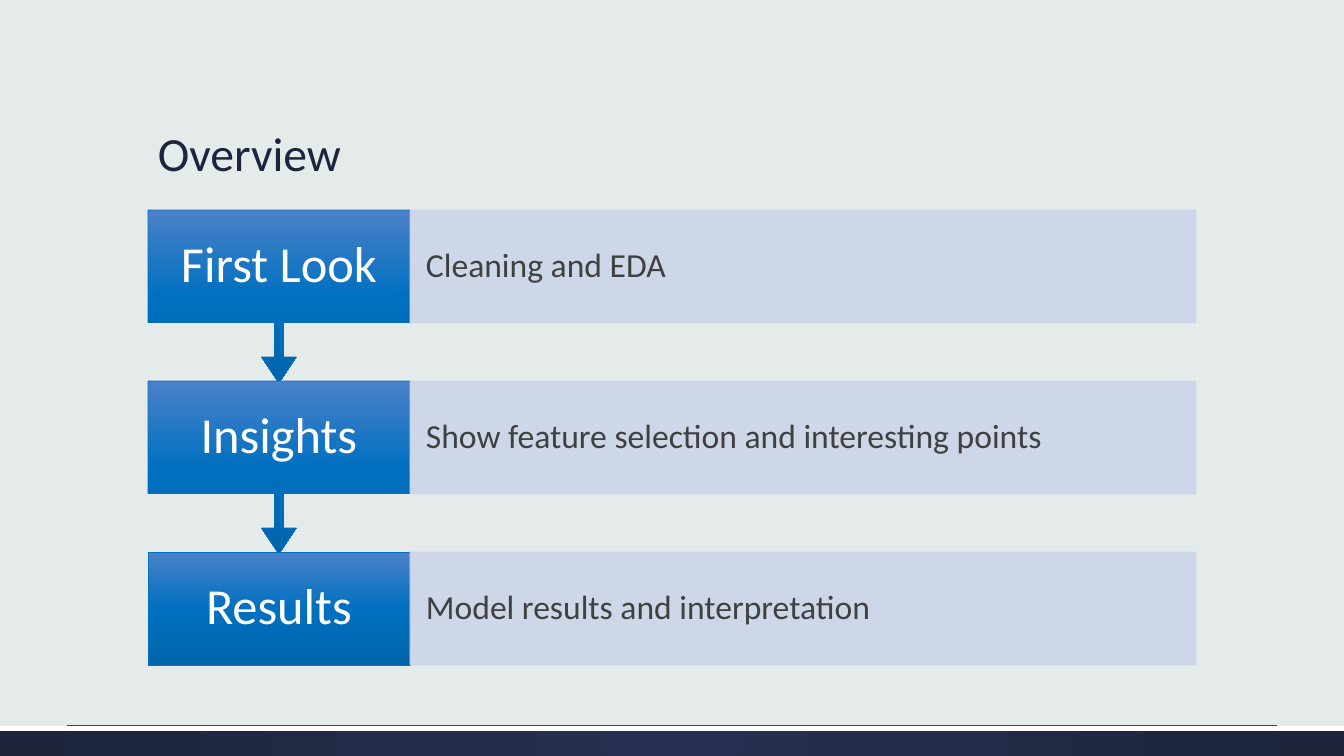
from dataclasses import dataclass

from lxml.etree import SubElement
from pptx import Presentation
from pptx.dml.color import RGBColor
from pptx.enum.shapes import MSO_CONNECTOR, MSO_SHAPE
from pptx.enum.text import MSO_ANCHOR as Anchor, MSO_AUTO_SIZE, PP_ALIGN as Align
from pptx.oxml.ns import qn
from pptx.util import Emu, Pt

TITLE = "Overview"
STEPS = [
    ("First Look", "Cleaning and EDA"),
    ("Insights", "Show feature selection and interesting points"),
    ("Results", "Model results and interpretation"),
]


@dataclass(frozen=True)
class Theme:
    """Colours, gradients and type sizes of the slide."""
    font: str = "Calibri"
    background: str = "E5EAEA"
    ink: str = "1D243C"
    white: str = "FFFFFF"
    detail_text: str = "404040"
    detail_fill: str = "CCD5E8"
    step_line: str = "0070C0"
    step_gradient: tuple = ((0, "4B81C8"), (50, "0070C0"), (100, "0064AB"))
    footer_gradient: tuple = ((0, "263050"), (100, "1D243C"))
    title_size: int = 34
    step_size: int = 36
    detail_size: int = 24
    detail_opacity: int = 90
    line_width: float = 0.5


THEME = Theme()
EMU_PER_PX = 914400 / 100.8
SLIDE_WIDTH, SLIDE_HEIGHT = 1344, 756
LEFT, CONTENT_WIDTH = 148, 1048
TITLE_TOP, TITLE_HEIGHT = 51, 136
STEP_TOP, STEP_PITCH, STEP_WIDTH = 210, 171, 262
BOX_HEIGHT, CALLOUT_HEIGHT = 113, 173
CALLOUT_ADJUSTMENTS = (0.05, 0.1, 0.15, 0.65)
FOOTER_TOP, STRIP_HEIGHT = 726, 5
RULE_LEFT, RULE_RIGHT = 67, 1277


def px(length):
    """Turn pixels into EMU."""
    return Emu(round(length * EMU_PER_PX))


def write_text(shape, text, size, color, align=Align.LEFT, anchor=Anchor.MIDDLE, insets=(10, 5)):
    """Fill a shape with one formatted paragraph."""
    frame = shape.text_frame
    frame.text = text
    frame.word_wrap = True
    frame.auto_size = MSO_AUTO_SIZE.NONE
    frame.vertical_anchor = anchor
    frame.margin_left = frame.margin_right = px(insets[0])
    frame.margin_top = frame.margin_bottom = px(insets[1])
    paragraph = frame.paragraphs[0]
    paragraph.alignment = align
    paragraph.line_spacing = 0.9
    font = paragraph.runs[0].font
    font.name, font.size = THEME.font, Pt(size)
    font.color.rgb = RGBColor.from_string(color)


def add_block(slide, left, top, width, height, fill=None, line=None, kind=MSO_SHAPE.RECTANGLE):
    """Add a flat preset shape with an optional solid fill and line."""
    shape = slide.shapes.add_shape(kind, px(left), px(top), px(width), px(height))
    shape.shadow.inherit = False
    if fill:
        shape.fill.solid()
        shape.fill.fore_color.rgb = RGBColor.from_string(fill)
    if line:
        shape.line.width = Pt(THEME.line_width)
        shape.line.color.rgb = RGBColor.from_string(line)
    else:
        shape.line.fill.background()
    return shape


def set_gradient(shape, stops, radial=False):
    """Give a shape a top-down or radial gradient."""
    shape.fill.gradient()
    gradient = shape._element.spPr.find(qn("a:gradFill"))
    for child in list(gradient):
        gradient.remove(child)
    stop_list = SubElement(gradient, qn("a:gsLst"))
    for position, color in stops:
        stop = SubElement(stop_list, qn("a:gs"), pos=str(position * 1000))
        SubElement(stop, qn("a:srgbClr"), val=color)
    if radial:
        center = SubElement(gradient, qn("a:path"), {"path": "circle"})
        SubElement(center, qn("a:fillToRect"), {side: "50000" for side in "ltrb"})
    else:
        SubElement(gradient, qn("a:lin"), ang="5400000", scaled="0")


def set_opacity(shape, percent):
    """Make the fill and line of a shape partly transparent."""
    for color in shape._element.spPr.iter(qn("a:srgbClr")):
        SubElement(color, qn("a:alpha"), val=str(percent * 1000))


def add_footer(slide):
    """Draw the dark band, the white strip and the thin rule."""
    band = add_block(slide, 0, FOOTER_TOP, SLIDE_WIDTH, SLIDE_HEIGHT - FOOTER_TOP)
    set_gradient(band, THEME.footer_gradient, radial=True)
    add_block(slide, 0, FOOTER_TOP, SLIDE_WIDTH, STRIP_HEIGHT, fill=THEME.white)
    rule = slide.shapes.add_connector(
        MSO_CONNECTOR.STRAIGHT, px(RULE_LEFT), px(FOOTER_TOP - 1), px(RULE_RIGHT), px(FOOTER_TOP - 1))
    rule.line.width = Pt(THEME.line_width)
    rule.line.color.rgb = RGBColor.from_string(THEME.detail_text)
    SubElement(rule._element.spPr, qn("a:effectLst"))


def add_step(slide, index, label, detail):
    """Draw one step: its label, its arrow to the next step and its detail."""
    top = STEP_TOP + index * STEP_PITCH
    is_last = index == len(STEPS) - 1
    kind = MSO_SHAPE.RECTANGLE if is_last else MSO_SHAPE.DOWN_ARROW_CALLOUT
    height = BOX_HEIGHT if is_last else CALLOUT_HEIGHT
    step = add_block(slide, LEFT, top, STEP_WIDTH, height, line=THEME.step_line, kind=kind)
    if not is_last:
        for position, value in enumerate(CALLOUT_ADJUSTMENTS):
            step.adjustments[position] = value
    set_gradient(step, THEME.step_gradient)
    write_text(step, label, THEME.step_size, THEME.white, align=Align.CENTER, insets=(18, 28))

    panel = add_block(slide, LEFT + STEP_WIDTH, top, CONTENT_WIDTH - STEP_WIDTH, BOX_HEIGHT,
                      fill=THEME.detail_fill, line=THEME.detail_fill)
    set_opacity(panel, THEME.detail_opacity)
    write_text(panel, detail, THEME.detail_size, THEME.detail_text, insets=(16, 33))


def main():
    """Build the overview slide and save it."""
    presentation = Presentation()
    presentation.slide_width, presentation.slide_height = px(SLIDE_WIDTH), px(SLIDE_HEIGHT)
    slide = presentation.slides.add_slide(presentation.slide_layouts[5])
    slide.background.fill.solid()
    slide.background.fill.fore_color.rgb = RGBColor.from_string(THEME.background)
    add_footer(slide)
    title = slide.shapes.title
    title.left, title.top = px(LEFT), px(TITLE_TOP)
    title.width, title.height = px(CONTENT_WIDTH), px(TITLE_HEIGHT)
    write_text(title, TITLE, THEME.title_size, THEME.ink, anchor=Anchor.BOTTOM)
    for index, (label, detail) in enumerate(STEPS):
        add_step(slide, index, label, detail)
    presentation.save("out.pptx")


if __name__ == "__main__":
    main()
